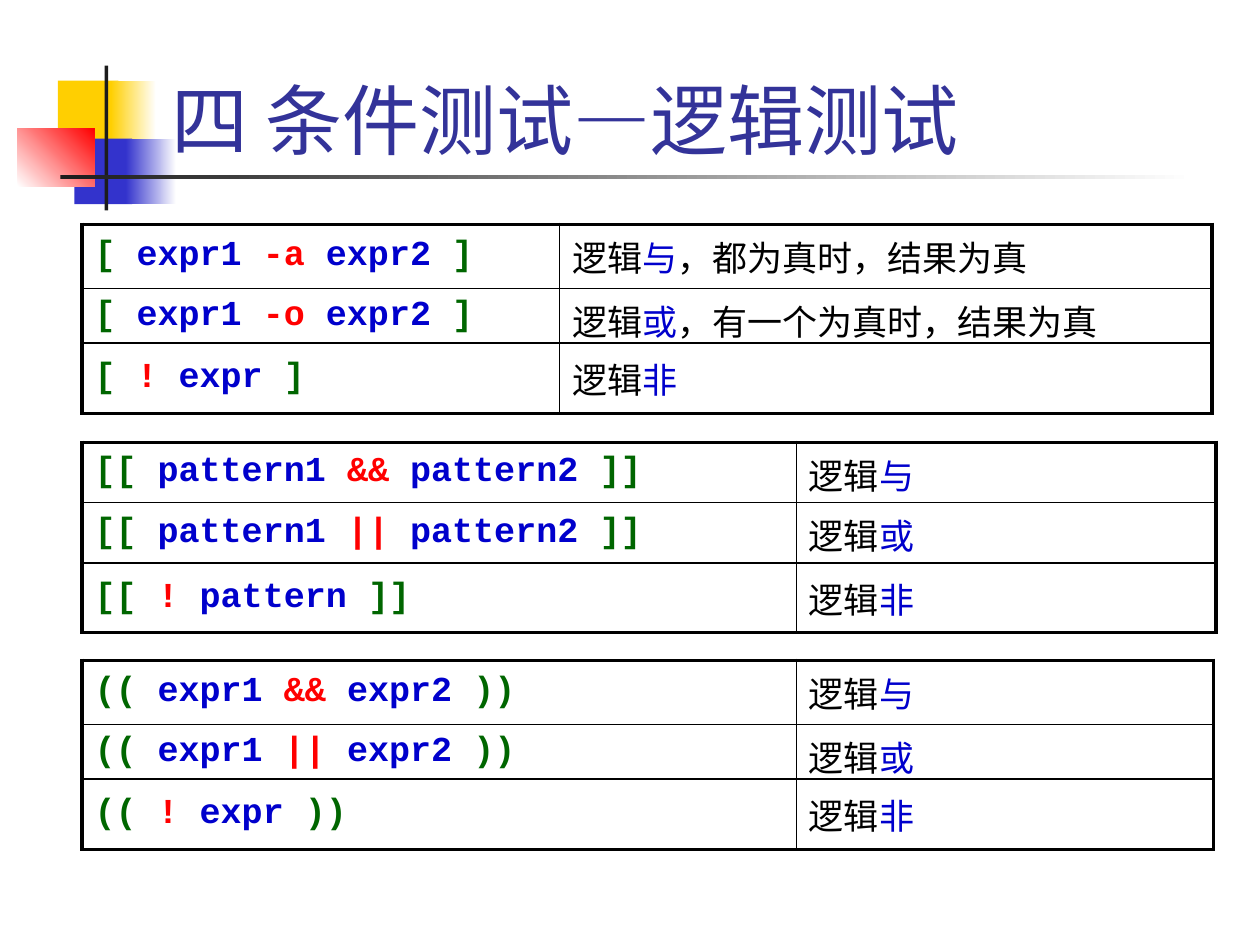
import pptx
import pptx.dml.color
import pptx.enum.shapes
import pptx.enum.text
import pptx.oxml
import pptx.oxml.ns
import pptx.util
from lxml import etree

Inches = pptx.util.Inches
Pt = pptx.util.Pt
qn = pptx.oxml.ns.qn

CODE_FONT, TEXT_FONT = "Courier New", "Times New Roman"
BLACK, WHITE, DARK = "000000", "FFFFFF", "1C1C1C"
YELLOW, INDIGO, RED = "FFCF01", "3333CC", "FF0000"
GREEN, BLUE, TITLE_BLUE = "006600", "0000CC", "333399"
TABLE_LEFT = 0.65
OUTER, INNER = 2.25, 1


def rgb(value):
    return pptx.dml.color.RGBColor.from_string(value)


def add_block(slide, box, colors, angle=0):
    block = slide.shapes.add_shape(
        pptx.enum.shapes.MSO_SHAPE.RECTANGLE, *map(Inches, box)
    )
    block.shadow.inherit = False
    block.line.fill.background()
    if len(colors) == 1:
        block.fill.solid()
        block.fill.fore_color.rgb = rgb(colors[0])
        return
    block.fill.gradient()
    block.fill.gradient_angle = angle
    for position, (stop, color) in enumerate(zip(block.fill.gradient_stops, colors)):
        stop.position = position
        stop.color.rgb = rgb(color)


def add_run(paragraph, text, font, size, color, bold=False):
    run = paragraph.add_run()
    run.text = text
    run.font.name = font
    run.font.size = Pt(size)
    run.font.bold = bold
    run.font.color.rgb = rgb(color)


def add_title(slide, text):
    title = slide.shapes.add_textbox(*map(Inches, (1.26, 0.21, 8.52, 1.15)))
    frame = title.text_frame
    frame.word_wrap = True
    frame.vertical_anchor = pptx.enum.text.MSO_ANCHOR.BOTTOM
    add_run(frame.paragraphs[0], text, TEXT_FONT, 44, TITLE_BLUE)


def set_borders(cell, widths):
    properties = cell._tc.get_or_add_tcPr()
    for side, width in widths.items():
        line = etree.SubElement(properties, qn(f"a:ln{side}"), w=str(Pt(width)))
        fill = etree.SubElement(line, qn("a:solidFill"))
        etree.SubElement(fill, qn("a:srgbClr"), val=BLACK)


def set_space_before(paragraph, percent):
    spacing = etree.SubElement(paragraph._p.get_or_add_pPr(), qn("a:spcBef"))
    etree.SubElement(spacing, qn("a:spcPct"), val=str(percent * 1000))


def fill_cell(cell, runs, font, bold):
    cell.fill.background()
    cell.vertical_anchor = pptx.enum.text.MSO_ANCHOR.MIDDLE
    paragraph = cell.text_frame.paragraphs[0]
    set_space_before(paragraph, 20)
    for text, color in runs:
        add_run(paragraph, text, font, 20, color, bold)


def expression(brackets, operands, operator):
    opening, closing = brackets
    first, *rest = operands
    negation = not rest
    body = [(operator + " ", RED), (first + " ", BLUE)]
    if not negation:
        body = [body[1], body[0], (rest[0] + " ", BLUE)]
    return [(opening + " ", GREEN), *body, (closing, GREEN)]


def meaning(word, detail):
    runs = [("逻辑", BLACK), (word, BLUE)]
    return runs + [(detail, BLACK)] if detail else runs


def add_logic_table(slide, top, columns, heights, brackets, operand, operators,
                    details=("", "", "")):
    table = slide.shapes.add_table(
        3, 2, Inches(TABLE_LEFT), Inches(top),
        Inches(sum(columns)), Inches(sum(heights)),
    ).table
    table.first_row = table.horz_banding = False
    for column, width in zip(table.columns, columns):
        column.width = Inches(width)
    pair = (operand + "1", operand + "2")
    rules = zip(heights, (pair, pair, (operand,)), operators, "与或非", details)
    for row, (height, operands, operator, word, detail) in enumerate(rules):
        table.rows[row].height = Inches(height)
        contents = (
            (expression(brackets, operands, operator), CODE_FONT, True),
            (meaning(word, detail), TEXT_FONT, False),
        )
        for column, content in enumerate(contents):
            cell = table.cell(row, column)
            set_borders(cell, {
                "L": OUTER if column == 0 else INNER,
                "R": OUTER if column == 1 else INNER,
                "T": OUTER if row == 0 else INNER,
                "B": OUTER if row == 2 else INNER,
            })
            fill_cell(cell, *content)


def add_ornament(slide):
    add_block(slide, (0.46, 0.64, 0.48, 0.52), [YELLOW])
    add_block(slide, (0.88, 0.64, 0.36, 0.52), [YELLOW, WHITE])
    add_block(slide, (0.59, 1.1, 0.46, 0.52), [INDIGO])
    add_block(slide, (1, 1.1, 0.4, 0.52), [INDIGO, WHITE])
    add_block(slide, (0.14, 1.02, 0.61, 0.46), [WHITE, RED], 45)
    add_block(slide, (0.83, 0.52, 0.03, 1.15), [DARK])
    add_block(slide, (0.48, 1.39, 9, 0.03), [DARK, WHITE])


def main():
    deck = pptx.Presentation()
    deck.slide_width, deck.slide_height = Inches(10), Inches(7.5)
    slide = deck.slides.add_slide(deck.slide_layouts[6])
    add_ornament(slide)
    add_title(slide, "四 条件测试—逻辑测试")
    symbols = ("&&", "||", "!")
    uneven = (0.51, 0.43, 0.56)
    add_logic_table(slide, 3.51, (5.67, 3.33), (0.48, 0.48, 0.55),
                    ("[[", "]]"), "pattern", symbols)
    add_logic_table(slide, 1.78, (3.79, 5.18), uneven,
                    ("[", "]"), "expr", ("-a", "-o", "!"),
                    ("，都为真时，结果为真", "，有一个为真时，结果为真", ""))
    add_logic_table(slide, 5.24, (5.67, 3.31), uneven,
                    ("((", "))"), "expr", symbols)
    deck.save("out.pptx")


if __name__ == "__main__":
    main()
